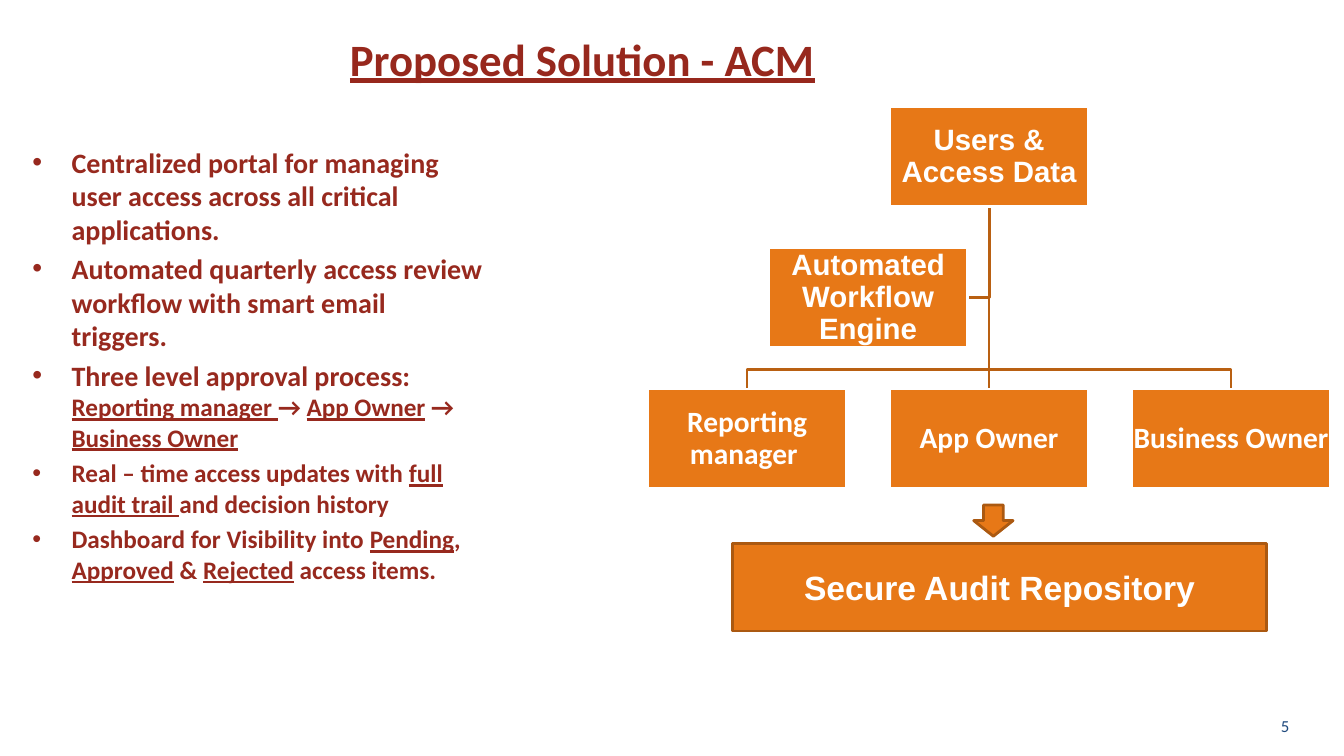
from pptx import Presentation
from pptx.dml.color import RGBColor
from pptx.enum.shapes import MSO_CONNECTOR, MSO_SHAPE
from pptx.enum.text import MSO_ANCHOR, MSO_AUTO_SIZE, PP_ALIGN
from pptx.oxml.ns import qn
from pptx.util import Inches, Pt
from lxml import etree

RECTANGLE, DOWN_ARROW = MSO_SHAPE.RECTANGLE, MSO_SHAPE.DOWN_ARROW
STRAIGHT = MSO_CONNECTOR.STRAIGHT
TOP, MIDDLE = MSO_ANCHOR.TOP, MSO_ANCHOR.MIDDLE
LEFT, CENTER, RIGHT = PP_ALIGN.LEFT, PP_ALIGN.CENTER, PP_ALIGN.RIGHT
NO_AUTOFIT = MSO_AUTO_SIZE.NONE
BOTTOM_SITE, TOP_SITE = 2, 0

SLIDE_WIDTH, SLIDE_HEIGHT = 13.33, 7.5
# Diagram grid, in inches
GRID_LEFT, GRID_TOP = 6.42, 1.06
COLUMN_PITCH, ROW_PITCH = 2.4, 1.4
BOX_WIDTH, BOX_HEIGHT = 1.98, 0.99
# Heights of diagram landmarks, in grid rows
USERS_BOTTOM, ENGINE_MIDDLE, BRANCH, OWNERS_TOP = 0.71, 1.35, 1.86, 2

# Each bullet is a list of runs: text, size, underlined; "\n" is a line break
BULLETS = [
    [("Centralized portal for managing user access across all critical applications.", 20, False)],
    [("Automated quarterly access review workflow with smart email triggers.", 20, False)],
    [("Three level approval process:", 20, False), ("\n", 20, False),
     ("Reporting manager ", 18, True), ("→ ", 18, False), ("App Owner", 18, True),
     (" → ", 18, False), ("Business Owner", 18, True)],
    [("Real – time access updates with ", 18, False), ("full audit trail ", 18, True),
     ("and decision history", 18, False)],
    [("Dashboard for Visibility into ", 18, False), ("Pending", 18, True), (", ", 18, False),
     ("Approved", 18, True), (" & ", 18, False), ("Rejected", 18, True),
     (" access items.", 18, False)],
]


def color(value):
    return RGBColor.from_string(value)


class SlideBuilder:
    heading_color, bullet_color, number_color = "97281D", "97291E", "1F497D"
    box_fill, box_border, link_color, white = "E77817", "AB5911", "B96012", "FFFFFF"
    heading_font, label_font = "Calibri", "Arial"

    def __init__(self, presentation):
        self.slide = presentation.slides.add_slide(presentation.slide_layouts[1])
        self.shapes = self.slide.shapes

    def area(self, left, top, width, height):
        """Turn percentages of the slide into lengths."""
        return (Inches(SLIDE_WIDTH * left / 100), Inches(SLIDE_HEIGHT * top / 100),
                Inches(SLIDE_WIDTH * width / 100), Inches(SLIDE_HEIGHT * height / 100))

    def grid_point(self, column, row):
        """Point at the centre line of a column and the top of a row."""
        return (Inches(GRID_LEFT + BOX_WIDTH / 2 + COLUMN_PITCH * column),
                Inches(GRID_TOP + ROW_PITCH * row))

    def add_run(self, paragraph, text, size, font, hex_color, bold=True, underlined=False):
        run = paragraph.add_run()
        run.text = text
        run.font.size, run.font.name = Pt(size), font
        run.font.bold, run.font.underline = bold, underlined
        run.font.color.rgb = color(hex_color)

    def add_break(self, paragraph, size):
        """Add a line break that keeps the height of its line."""
        paragraph.add_line_break()
        line_break = paragraph._p.findall(qn("a:br"))[-1]
        etree.SubElement(line_break, qn("a:rPr"), sz=str(size * 100))

    def prepare(self, shape, anchor, alignment):
        frame = shape.text_frame
        frame.word_wrap, frame.auto_size = True, NO_AUTOFIT
        frame.vertical_anchor = anchor
        frame.paragraphs[0].alignment = alignment
        return frame

    def move(self, shape, area):
        shape.left, shape.top, shape.width, shape.height = area

    def title(self, text, area):
        shape = self.shapes.title
        self.move(shape, area)
        paragraph = self.prepare(shape, TOP, LEFT).paragraphs[0]
        self.add_run(paragraph, text, 32, self.heading_font, self.heading_color, underlined=True)

    def bullets(self, items, area):
        shape = self.slide.placeholders[1]
        self.move(shape, area)
        frame = self.prepare(shape, TOP, LEFT)
        for index, runs in enumerate(items):
            paragraph = frame.add_paragraph() if index else frame.paragraphs[0]
            properties = paragraph._p.get_or_add_pPr()
            properties.set("marL", str(Inches(0.39)))
            properties.set("indent", str(-Inches(0.39)))
            etree.SubElement(properties, qn("a:buFont"), typeface="Arial")
            etree.SubElement(properties, qn("a:buChar"), char="•")
            paragraph.space_before = Pt(4 if index else 0)
            for text, size, underlined in runs:
                if text == "\n":
                    self.add_break(paragraph, size)
                else:
                    self.add_run(paragraph, text, size, self.heading_font, self.bullet_color,
                                 underlined=underlined)

    def page_number(self, text, area):
        frame = self.prepare(self.shapes.add_textbox(*area), MIDDLE, RIGHT)
        self.add_run(frame.paragraphs[0], text, 12, self.heading_font, self.number_color, bold=False)

    def block(self, kind, area, border):
        shape = self.shapes.add_shape(kind, *area)
        shape.shadow.inherit = False
        shape.fill.solid()
        shape.fill.fore_color.rgb = color(self.box_fill)
        shape.line.color.rgb = color(border)
        shape.line.width = Pt(2)
        return shape

    def banner(self, text, area):
        frame = self.prepare(self.block(RECTANGLE, area, self.box_border), MIDDLE, CENTER)
        self.add_run(frame.paragraphs[0], text, 24, self.label_font, self.white)

    def grid_box(self, text, column, row, font):
        area = (Inches(GRID_LEFT + COLUMN_PITCH * column), Inches(GRID_TOP + ROW_PITCH * row),
                Inches(BOX_WIDTH), Inches(BOX_HEIGHT))
        shape = self.block(RECTANGLE, area, self.white)
        frame = self.prepare(shape, MIDDLE, CENTER)
        frame.margin_left = frame.margin_right = Inches(0.01)
        frame.margin_top = frame.margin_bottom = Inches(0.01)
        frame.paragraphs[0].line_spacing = 0.9
        self.add_run(frame.paragraphs[0], text, 21, font, self.white)
        return shape

    def elbow(self, *points):
        """Draw an open bent line through grid points."""
        start, *rest = [self.grid_point(*point) for point in points]
        builder = self.shapes.build_freeform(*start)
        builder.add_line_segments(rest, close=False)
        shape = builder.convert_to_shape()
        shape.shadow.inherit = False
        shape.fill.background()
        self.style_link(shape)

    def trunk(self, upper, lower):
        """Join two boxes by a straight line that lies behind them."""
        connector = self.shapes.add_connector(STRAIGHT, 0, 0, 0, 0)
        connector.begin_connect(upper, BOTTOM_SITE)
        connector.end_connect(lower, TOP_SITE)
        self.style_link(connector)
        etree.SubElement(connector._element.spPr, qn("a:effectLst"))
        upper._element.addprevious(connector._element)

    def style_link(self, link):
        link.line.color.rgb = color(self.link_color)
        link.line.width = Pt(2)


def main():
    presentation = Presentation()
    presentation.slide_width = Inches(SLIDE_WIDTH)
    presentation.slide_height = Inches(SLIDE_HEIGHT)
    builder = SlideBuilder(presentation)

    builder.title("Proposed Solution - ACM", builder.area(25.28, 3.47, 44.18, 10.93))
    builder.bullets(BULLETS, builder.area(1.65, 18.53, 35.33, 48.27))
    builder.page_number("5", builder.area(91.65, 93.33, 5.03, 5.33))

    builder.elbow((1, USERS_BOTTOM), (1, ENGINE_MIDDLE), (0.91, ENGINE_MIDDLE))
    for column in (2, 0):
        builder.elbow((1, USERS_BOTTOM), (1, BRANCH), (column, BRANCH), (column, OWNERS_TOP))

    users = builder.grid_box("Users & Access Data", 1, 0, "Arial")
    approvers = [builder.grid_box(text, column, 2, "Calibri") for column, text in
                 enumerate(["Reporting manager ", "App Owner", "Business Owner"])]
    builder.grid_box("Automated Workflow Engine", 0.5, 1, "Arial")
    builder.trunk(users, approvers[1])

    builder.banner("Secure Audit Repository", builder.area(54.53, 71.87, 39.68, 11.6))
    builder.block(DOWN_ARROW, builder.area(72.45, 66.8, 2.93, 4.13), builder.box_border)
    presentation.save("out.pptx")


if __name__ == "__main__":
    main()
